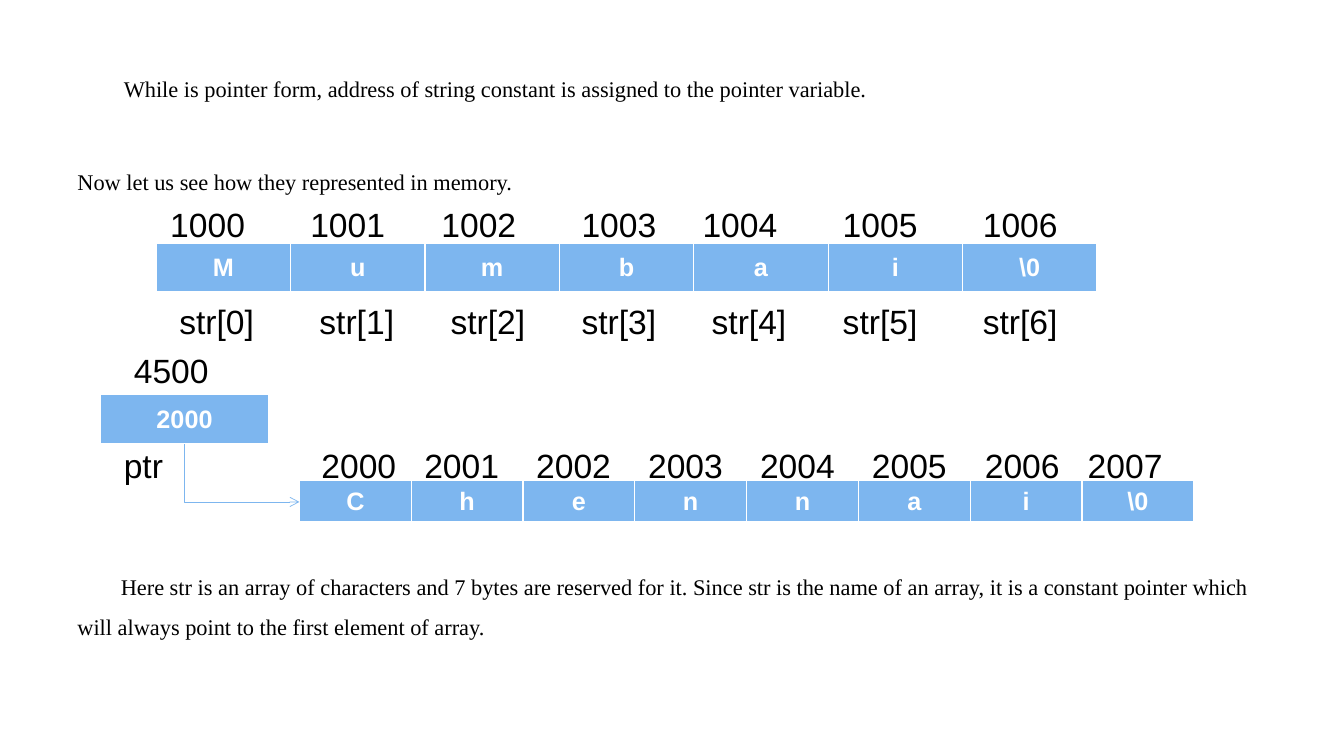
import pptx
import pptx.util
import pptx.dml.color
import pptx.enum.shapes
import pptx.enum.text
import pptx.oxml
import pptx.oxml.ns
from pptx.util import Inches

THEME = {
    "black": pptx.dml.color.RGBColor(0x00, 0x00, 0x00),
    "white": pptx.dml.color.RGBColor(0xFF, 0xFF, 0xFF),
    "blue": pptx.dml.color.RGBColor(0x7D, 0xB6, 0xEF),
    "prose": ("Times New Roman", 16),
    "label": ("Arial", 24),
    "cell": ("Arial", 18),
}

BODY = (0.67, 0.36, 12, 6.65)
PROSE_LINES = 1.5

PARAGRAPHS = [
    {"style": "prose", "before": 0, "indent": 0.46,
     "text": "While is pointer form, address of string constant is assigned to the pointer variable."},
    {"style": "prose", "before": 38, "indent": 0,
     "text": "Now let us see how they represented in memory."},
    {"style": "label", "before": 6.5,
     "stops": [0.92, 2.31, 3.61, 5, 6.2, 7.59, 8.98],
     "words": ["1000", "1001", "1002", "1003", "1004", "1005", "1006"]},
    {"style": "label", "before": 40,
     "stops": [1.01, 2.4, 3.7, 5, 6.29, 7.59, 8.98],
     "words": ["str[0]", "str[1]", "str[2]", "str[3]", "str[4]", "str[5]", "str[6]"]},
    {"style": "label", "before": 6, "stops": [0.56], "words": ["4500"]},
    {"style": "label", "before": 39.5,
     "stops": [0.46, 2.42, 3.44, 4.55, 5.66, 6.77, 7.88, 9, 10.02],
     "words": ["ptr", "2000", "2001", "2002", "2003", "2004", "2005", "2006", "2007"]},
    {"style": "prose", "before": 53, "indent": 0.43,
     "text": "Here str is an array of characters and 7 bytes are reserved for it. "
             "Since str is the name of an array, it is a constant pointer which "
             "will always point to the first element of array."},
]

MEMORY_ROWS = [
    (["M", "u", "m", "b", "a", "i", "\\0"], (1.55, 2.41, 9.33, 0.5)),
    (["C", "h", "e", "n", "n", "a", "i", "\\0"], (2.97, 4.77, 8.87, 0.42)),
    (["2000"], (1, 3.91, 1.66, 0.5)),
]
BORDERS = {"lnL": 1, "lnR": 1, "lnT": 1, "lnB": 3}
POINTER_START = (1.83, 4.41)
POINTER_END = (2.97, 4.98)


def set_all(target, values):
    for name, value in values.items():
        setattr(target, name, value)


def add_element(parent, tag, **attributes):
    element = pptx.oxml.parse_xml(f'<a:{tag} {pptx.oxml.ns.nsdecls("a")}/>')
    for name, value in attributes.items():
        element.set(name, str(value))
    parent.append(element)
    return element


def style_font(font, style, color, bold=False):
    name, size = THEME[style]
    set_all(font, {"name": name, "size": pptx.util.Pt(size), "bold": bold})
    font.color.rgb = THEME[color]


def add_body(page):
    frame = page.shapes.add_textbox(*map(Inches, BODY)).text_frame
    set_all(frame, {"word_wrap": True, "margin_top": Inches(0.25)})
    for index, item in enumerate(PARAGRAPHS):
        para = frame.add_paragraph() if index else frame.paragraphs[0]
        properties = para._p.get_or_add_pPr()
        set_all(para, {"space_before": pptx.util.Pt(item["before"]),
                       "line_spacing": PROSE_LINES if item["style"] == "prose" else 1.0})
        if "stops" in item:
            tabs = add_element(properties, "tabLst")
            for stop in item["stops"]:
                add_element(tabs, "tab", pos=Inches(stop), algn="l")
            text = "".join("\t" + word for word in item["words"])
        else:
            properties.set("indent", str(Inches(item["indent"])))
            text = item["text"]
        span = para.add_run()
        span.text = text
        style_font(span.font, item["style"], "black")


def add_borders(cell):
    properties = cell._tc.get_or_add_tcPr()
    for position, (tag, width) in enumerate(BORDERS.items()):
        line = add_element(properties, tag, w=pptx.util.Pt(width))
        add_element(add_element(line, "solidFill"), "srgbClr", val=THEME["white"])
        properties.insert(position, line)


def add_memory_row(page, values, place):
    frame = page.shapes.add_table(1, len(values), *map(Inches, place))
    table = frame.table
    for column, value in enumerate(values):
        table.columns[column].width = Inches(place[2] / len(values))
        cell = table.cell(0, column)
        set_all(cell, {"text": value,
                       "vertical_anchor": pptx.enum.text.MSO_ANCHOR.MIDDLE})
        cell.fill.solid()
        cell.fill.fore_color.rgb = THEME["blue"]
        add_borders(cell)
        para = cell.text_frame.paragraphs[0]
        para.alignment = pptx.enum.text.PP_ALIGN.CENTER
        style_font(para.runs[0].font, "cell", "white", bold=True)


def add_pointer(page):
    (left, top), (right, bottom) = POINTER_START, POINTER_END
    width, height = right - left, bottom - top
    arrow = page.shapes.add_connector(
        pptx.enum.shapes.MSO_CONNECTOR.ELBOW, 0, 0, 0, 0)
    set_all(arrow, {"left": Inches(left + (width - height) / 2),
                    "top": Inches(top + (height - width) / 2),
                    "width": Inches(height), "height": Inches(width)})
    properties = arrow._element.spPr
    properties.find(pptx.oxml.ns.qn("a:prstGeom")).set("prst", "bentConnector2")
    properties.xfrm.set("rot", str(90 * 60000))
    properties.xfrm.set("flipV", "1")
    properties.xfrm.set("flipH", "0")
    properties.xfrm.set("rot", "5400000")
    properties.xfrm.set("flipV", "0")
    properties.xfrm.set("rot", "16200000")
    properties.xfrm.set("flipH", "1")
    arrow.line.color.rgb = THEME["blue"]
    arrow.line.width = pptx.util.Pt(0.5)
    add_element(arrow.line._get_or_add_ln(), "tailEnd", type="arrow")
    add_element(properties, "effectLst")


def main():
    deck = pptx.Presentation()
    set_all(deck, {"slide_width": Inches(13.33), "slide_height": Inches(7.5)})
    page = deck.slides.add_slide(deck.slide_layouts[6])
    add_body(page)
    for values, place in MEMORY_ROWS:
        add_memory_row(page, values, place)
    add_pointer(page)
    deck.save("out.pptx")


if __name__ == "__main__":
    main()
